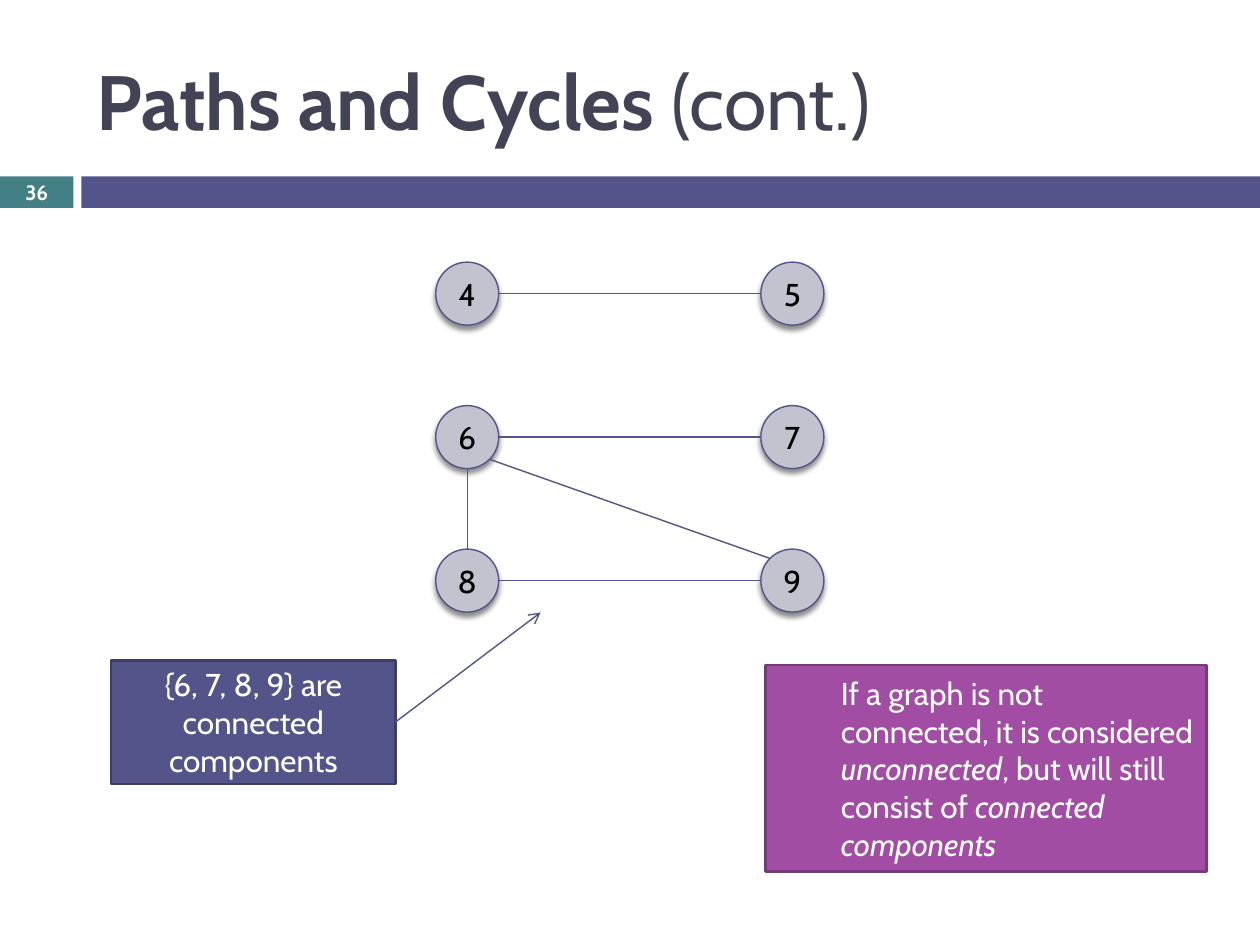
import pptx
import pptx.util
import pptx.dml.color
import pptx.enum.shapes
import pptx.enum.text
import pptx.oxml
import pptx.oxml.ns
from dataclasses import dataclass

Pt = pptx.util.Pt
RGB = pptx.dml.color.RGBColor.from_string
SHAPES = pptx.enum.shapes.MSO_SHAPE
ALIGN = pptx.enum.text.PP_ALIGN
MIDDLE = pptx.enum.text.MSO_ANCHOR.MIDDLE
NAMESPACE = pptx.oxml.ns.nsdecls("a")


@dataclass(frozen=True)
class Theme:
    font: str = "Cabin"
    title: str = "424456"
    teal: str = "438086"
    indigo: str = "53548A"
    indigo_dark: str = "3D3E66"
    purple: str = "A04DA3"
    purple_dark: str = "763979"
    node: str = "C3C3CF"
    black: str = "000000"
    white: str = "FFFFFF"
    title_size: float = 44
    body_size: float = 18
    number_size: float = 11.9
    thin: float = 0.79
    thick: float = 1.5


theme = Theme()


def add_block(kind, box, fill, outline=None, width=theme.thick):
    block = slide.shapes.add_shape(kind, *map(Pt, box))
    block.shadow.inherit = False
    block.fill.solid()
    block.fill.fore_color.rgb = RGB(fill)
    if outline:
        block.line.color.rgb = RGB(outline)
        block.line.width = Pt(width)
    else:
        block.line.fill.background()
    return block


def write(holder, runs, size, color, align, bold=None):
    frame = holder.text_frame
    frame.word_wrap = True
    frame.vertical_anchor = MIDDLE
    paragraph = frame.paragraphs[0]
    paragraph.alignment = align
    for text, emphasis in runs:
        run = paragraph.add_run()
        run.text = text
        if emphasis:
            setattr(run.font, emphasis, True)
    paragraph.font.name = theme.font
    paragraph.font.size = Pt(size)
    paragraph.font.color.rgb = RGB(color)
    paragraph.font.bold = bold
    return paragraph


deck = pptx.Presentation()
deck.slide_width, deck.slide_height = Pt(720), Pt(540)
slide = deck.slides.add_slide(deck.slide_layouts[5])

add_block(SHAPES.RECTANGLE, (0, 100.8, 42, 18), theme.teal)
add_block(SHAPES.RECTANGLE, (46.5, 100.8, 673.5, 18), theme.indigo)

title = slide.shapes.title
title.left, title.top, title.width, title.height = map(Pt, (48, 18, 642, 78))
write(title, [("Paths and Cycles ", "bold"), ("(cont.)", None)],
      theme.title_size, theme.title, ALIGN.LEFT)
title.text_frame.auto_size = pptx.enum.text.MSO_AUTO_SIZE.NONE

definition = add_block(SHAPES.RECTANGLE, (437.5, 380, 252, 118), theme.purple, theme.purple_dark)
definition_text = write(
    definition,
    [("If a graph is not connected, it is considered ", None), ("unconnected", "italic"),
     (", but will still consist of ", None), ("connected components", "italic")],
    theme.body_size, theme.white, ALIGN.LEFT)
definition_text.level = 1
definition_indent = definition_text._p.get_or_add_pPr()
definition_indent.set("marL", str(Pt(36)))
definition_indent.set("indent", "0")

callout = add_block(SHAPES.RECTANGLE, (63.5, 377.3, 162.5, 70.7), theme.indigo, theme.indigo_dark)
write(callout, [("{6, 7, 8, 9} are connected components", None)],
      theme.body_size, theme.white, ALIGN.CENTER)

diameter = 36
graph_left, graph_top = 249, 149.8
column_step, row_step = 185.8, 82
nodes = {}
for index, label in enumerate("456789"):
    row, column = divmod(index, 2)
    nodes[label] = (graph_left + column * column_step, graph_top + row * row_step)
    node = add_block(SHAPES.OVAL, (*nodes[label], diameter, diameter),
                     theme.node, theme.indigo, theme.thin)
    frame = node.text_frame
    frame.margin_left = frame.margin_right = 0
    write(node, [(label, None)], theme.body_size, theme.black, ALIGN.CENTER)
    effects = node._element.spPr.find(pptx.oxml.ns.qn("a:effectLst"))
    effects.append(pptx.oxml.parse_xml(
        f'<a:outerShdw {NAMESPACE} blurRad="{Pt(3)}" dist="{Pt(2.4)}" dir="5400000" '
        f'rotWithShape="0"><a:srgbClr val="{theme.black}"><a:alpha val="45000"/>'
        '</a:srgbClr></a:outerShdw>'))

sites = {"left": (0, 0.5), "right": (1, 0.5), "top": (0.5, 0), "bottom": (0.5, 1),
         "top left": (0.15, 0.15), "bottom right": (0.85, 0.85)}
edges = [("5", "left", "4", "right"), ("7", "left", "6", "right"),
         ("6", "bottom", "8", "top"), ("6", "bottom right", "9", "top left"),
         ("9", "left", "8", "right")]
lines = []
for start, start_site, end, end_site in edges:
    lines.append([position + share * diameter
                  for label, site in ((start, start_site), (end, end_site))
                  for position, share in zip(nodes[label], sites[site])])
lines.append([226, 412.6, 308.9, 350])

for ends in lines:
    connector = slide.shapes.add_connector(
        pptx.enum.shapes.MSO_CONNECTOR.STRAIGHT, *map(Pt, ends))
    connector.line.color.rgb = RGB(theme.indigo)
    connector.line.width = Pt(theme.thin)
    connector._element.spPr.append(pptx.oxml.parse_xml(f"<a:effectLst {NAMESPACE}/>"))
pointer = connector
pointer.line._get_or_add_ln().append(
    pptx.oxml.parse_xml(f'<a:tailEnd {NAMESPACE} type="arrow"/>'))

page_number = slide.shapes.add_textbox(*map(Pt, (0, 100, 42, 19.5)))
write(page_number, [("36", None)], theme.number_size, theme.white, ALIGN.CENTER, bold=True)

deck.save("out.pptx")
